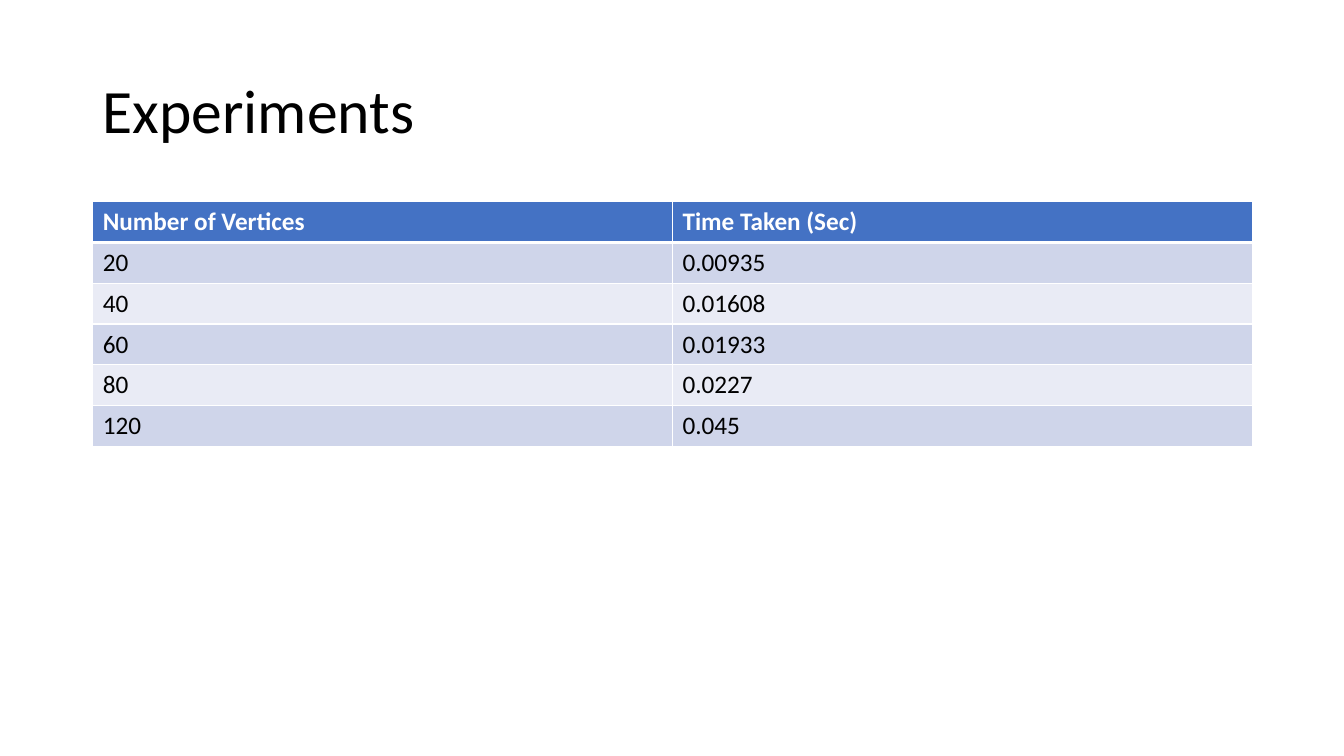
import pptx
import pptx.util
import pptx.dml.color
import pptx.enum.text
import pptx.oxml.ns
import lxml.etree

TITLE = "Experiments"
ROWS = [
    ("Number of Vertices", "Time Taken (Sec)"),
    ("20", "0.00935"),
    ("40", "0.01608"),
    ("60", "0.01933"),
    ("80", "0.0227"),
    ("120", "0.045"),
]
FONT = "Calibri"
HEAD, BANDS = "4472C4", ("CFD5EA", "E9EBF5")
WHITE, BLACK = "FFFFFF", "000000"

WIDE, HIGH = 13.33, 7.5
LEFT, SPAN = 0.92, 11.5
TITLE_TOP, TITLE_HIGH = 0.4, 1.45
TABLE_TOP, ROW_HIGH = 2, 0.405

inch = pptx.util.Inches
qn = pptx.oxml.ns.qn


def color(code):
    return pptx.dml.color.RGBColor.from_string(code)


def style(para, size, code, bold=False):
    font = para.font
    font.name, font.size, font.bold = FONT, pptx.util.Pt(size), bold
    font.color.rgb = color(code)


def border(cell, side, width):
    """Draw one white edge; call before the cell is filled."""
    props = cell._tc.get_or_add_tcPr()
    line = lxml.etree.SubElement(props, qn(f"a:ln{side}"), w=str(pptx.util.Pt(width)))
    fill = lxml.etree.SubElement(line, qn("a:solidFill"))
    lxml.etree.SubElement(fill, qn("a:srgbClr"), val=WHITE)


def add_title(slide):
    box = slide.shapes.add_textbox(
        inch(LEFT), inch(TITLE_TOP), inch(SPAN), inch(TITLE_HIGH))
    frame = box.text_frame
    frame.word_wrap = True
    frame.vertical_anchor = pptx.enum.text.MSO_ANCHOR.MIDDLE
    para = frame.paragraphs[0]
    para.text = TITLE
    para.line_spacing = 0.9
    style(para, 44, BLACK)


def add_times(slide):
    count = len(ROWS)
    table = slide.shapes.add_table(
        count, len(ROWS[0]), inch(LEFT), inch(TABLE_TOP),
        inch(SPAN), inch(ROW_HIGH * count)).table
    for r, row in enumerate(ROWS):
        head = r == 0
        for c, text in enumerate(row):
            cell = table.cell(r, c)
            for side in "LRTB":
                thick = (head and side == "B") or (r == 1 and side == "T")
                border(cell, side, 3 if thick else 1)
            cell.fill.solid()
            cell.fill.fore_color.rgb = color(HEAD if head else BANDS[(r - 1) % 2])
            cell.text = text
            style(cell.text_frame.paragraphs[0], 18, WHITE if head else BLACK, head)


def main():
    deck = pptx.Presentation()
    deck.slide_width, deck.slide_height = inch(WIDE), inch(HIGH)
    slide = deck.slides.add_slide(deck.slide_layouts[6])
    add_title(slide)
    add_times(slide)
    deck.save("out.pptx")


if __name__ == "__main__":
    main()
